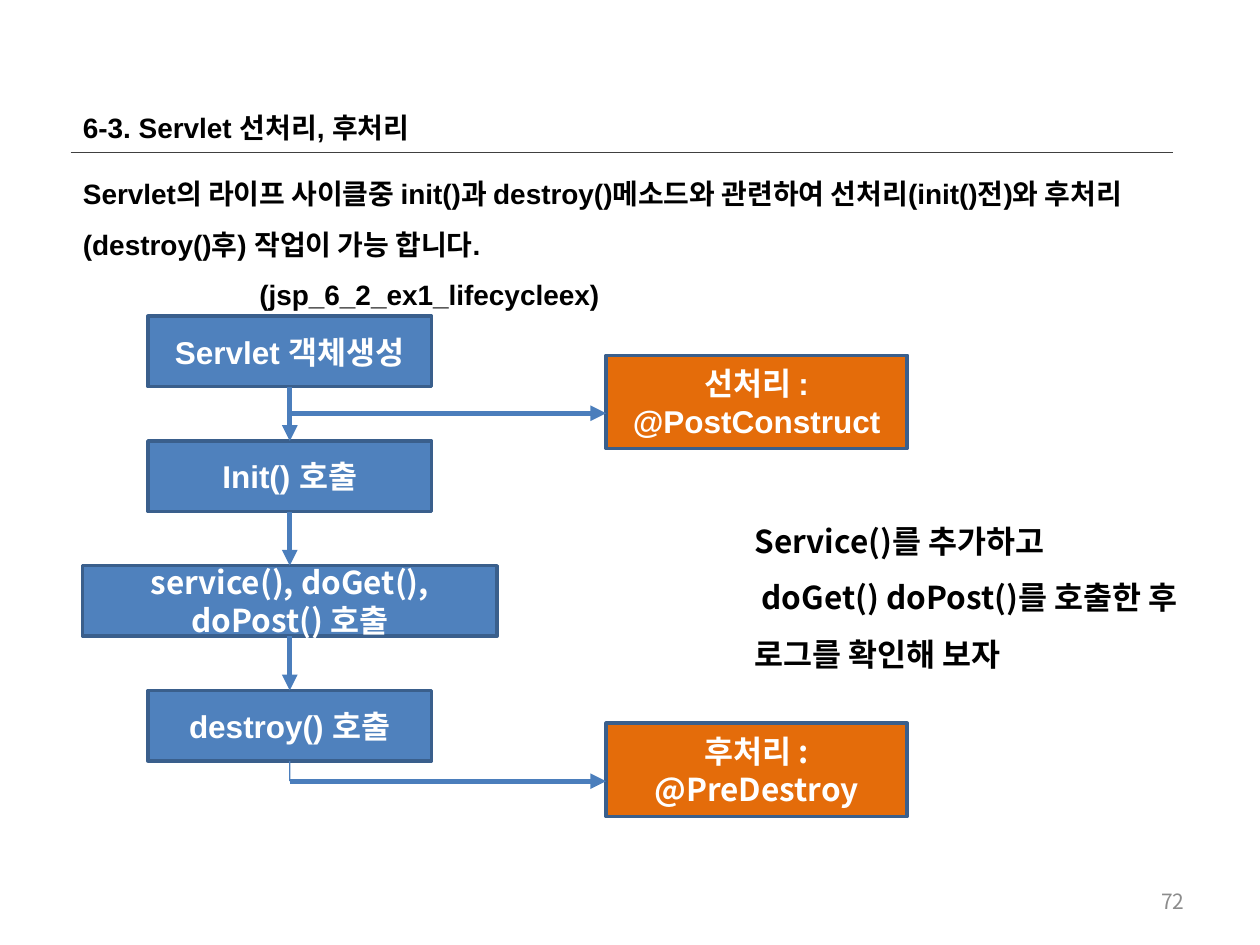
"""Build the slide on Servlet pre-processing and post-processing."""
from lxml import etree
from pptx import Presentation
from pptx import util as u
from pptx.dml.color import RGBColor
from pptx.enum import shapes, text
from pptx.oxml.ns import qn

THEME = {
    "latin": "Arial", "korean": "Noto Sans CJK KR",
    "black": "000000", "white": "FFFFFF", "gray": "8C8C8C", "rule": "404040",
    "step": "4F81BD", "hook": "E46C0A", "border": "3A5F8C", "arrow": "4B7EBC",
    "body": 16, "label": 18, "number": 12,
}
TITLE = ["6-3. Servlet 선처리, 후처리"]
INTRO = [
    "Servlet의 라이프 사이클중 init()과 destroy()메소드와 관련하여 선처리(init()전)와 "
    "후처리(destroy()후) 작업이 가능 합니다.",
    "(jsp_6_2_ex1_lifecycleex)",
]
TASK = ["Service()를 추가하고", " doGet() doPost()를 호출한 후", "로그를 확인해 보자"]
STEPS = [
    ("Servlet 객체생성", 2.25, "latin"),
    ("Init() 호출", 2.25, "latin"),
    ("service(), doGet(), doPost() 호출", 3.29, "korean"),
    ("destroy() 호출", 2.25, "latin"),
]
HOOKS = [
    ("선처리 : @PostConstruct", 2.82, "latin"),
    ("후처리 : @PreDestroy", 5.74, "korean"),
]
STEP_CENTER, STEP_TOP, STEP_PITCH, STEP_HEIGHT = 2.3, 2.51, 0.99, 0.56
HOOK_LEFT, HOOK_WIDTH, HOOK_HEIGHT, HOOK_ENTRY = 4.81, 2.39, 0.74, 0.46


def color(name):
    return RGBColor.from_string(THEME[name])


def write(box, lines, *, size="body", font="latin", ink="black", bold=True,
          align=text.PP_ALIGN.LEFT, anchor=text.MSO_ANCHOR.TOP, spacing=None, indents=()):
    frame = box.text_frame
    frame.word_wrap = True
    frame.vertical_anchor = anchor
    for index, line in enumerate(lines):
        para = frame.add_paragraph() if index else frame.paragraphs[0]
        para.alignment = align
        para.line_spacing = spacing
        if index < len(indents):
            para._p.get_or_add_pPr().set("marL", str(u.Inches(indents[index])))
        span = para.add_run()
        span.text = line
        span.font.name = THEME[font]
        span.font.size = u.Pt(THEME[size])
        span.font.bold = bold
        span.font.color.rgb = color(ink)


def add_text(page, place, lines, **style):
    write(page.shapes.add_textbox(*map(u.Inches, place)), lines, **style)


def add_box(page, place, label, fill, font):
    box = page.shapes.add_shape(shapes.MSO_SHAPE.RECTANGLE, *map(u.Inches, place))
    box.shadow.inherit = False
    box.fill.solid()
    box.fill.fore_color.rgb = color(fill)
    box.line.color.rgb = color("border")
    box.line.width = u.Pt(2)
    write(box, [label], size="label", font=font, ink="white",
          align=text.PP_ALIGN.CENTER, anchor=text.MSO_ANCHOR.MIDDLE)
    return box


def add_line(page, start, end, ink="arrow", width=3, arrow=True):
    line = page.shapes.add_connector(
        shapes.MSO_CONNECTOR.STRAIGHT, *map(u.Inches, (*start, *end)))
    line.line.color.rgb = color(ink)
    line.line.width = u.Pt(width)
    if arrow:
        etree.SubElement(line.line._get_or_add_ln(), qn("a:tailEnd"), type="triangle")
    etree.SubElement(line._element.spPr, qn("a:effectLst"))
    return line


def main():
    deck = Presentation()
    deck.slide_width, deck.slide_height = u.Inches(10), u.Inches(7.5)
    page = deck.slides.add_slide(deck.slide_layouts[6])

    add_text(page, (0.56, 0.83, 8.76, 0.37), TITLE)
    add_text(page, (7.17, 6.95, 2.33, 0.4), ["72"], size="number", font="korean", ink="gray",
             bold=False, align=text.PP_ALIGN.RIGHT, anchor=text.MSO_ANCHOR.MIDDLE)
    add_line(page, (0.56, 1.21), (9.31, 1.21), ink="rule", width=1, arrow=False)
    add_text(page, (0.56, 1.22, 8.48, 1.31), INTRO, spacing=1.5, indents=(0, 1.4))

    steps = []
    for index, (label, width, font) in enumerate(STEPS):
        place = (STEP_CENTER - width / 2, STEP_TOP + index * STEP_PITCH, width, STEP_HEIGHT)
        steps.append(add_box(page, place, label, "step", font))
    for upper, lower in zip(steps, steps[1:]):
        arrow = add_line(page, (0, 0), (0, 0))
        arrow.begin_connect(upper, 2)
        arrow.end_connect(lower, 0)

    for label, top, font in HOOKS:
        add_box(page, (HOOK_LEFT, top, HOOK_WIDTH, HOOK_HEIGHT), label, "hook", font)
        entry = top + HOOK_ENTRY
        add_line(page, (STEP_CENTER, entry), (HOOK_LEFT, entry))
    stem = add_line(page, (STEP_CENTER, entry), (STEP_CENTER, entry), width=0.75, arrow=False)
    stem.begin_connect(steps[-1], 2)

    add_text(page, (5.89, 3.94, 4.11, 1.46), TASK, size="label", font="korean", spacing=1.5)
    deck.save("out.pptx")


if __name__ == "__main__":
    main()
